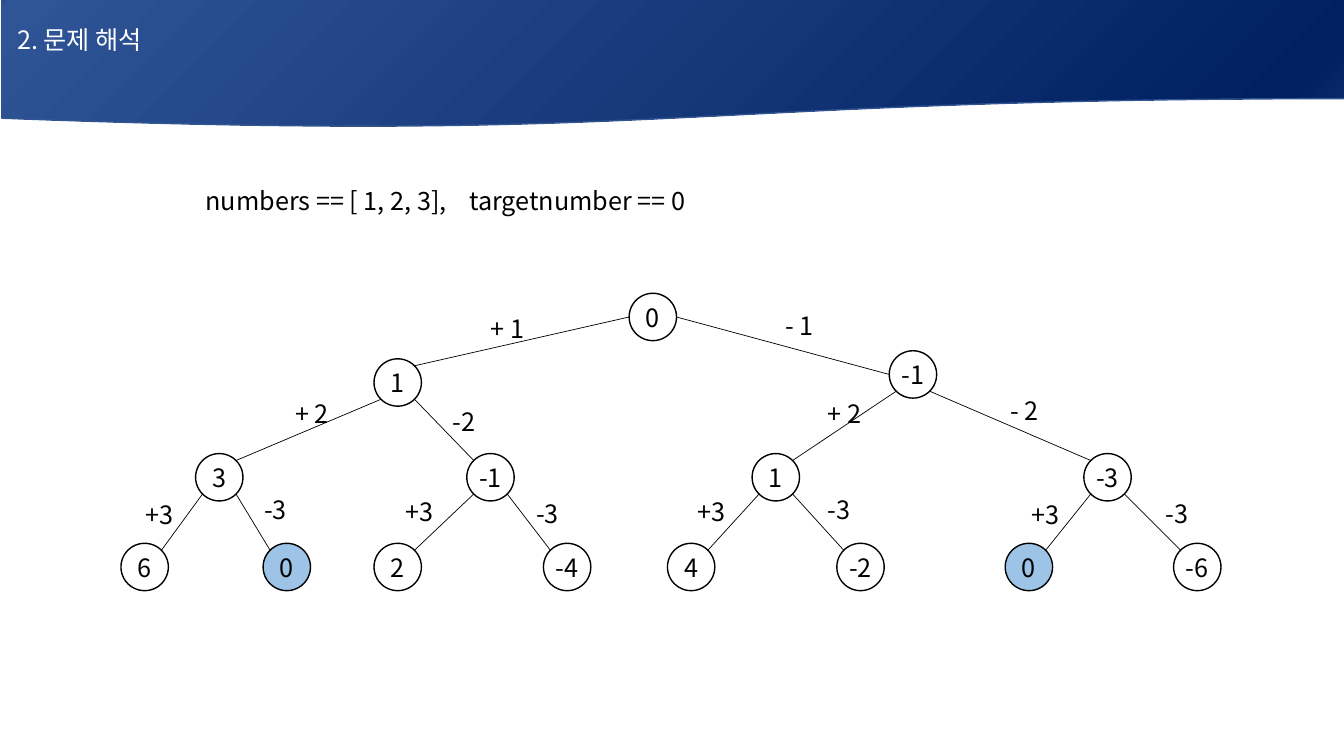
from math import sqrt

from lxml.etree import SubElement
from pptx import Presentation
from pptx.dml.color import RGBColor
from pptx.enum.shapes import MSO_CONNECTOR, MSO_SHAPE
from pptx.enum.text import MSO_ANCHOR, PP_ALIGN
from pptx.oxml.ns import qn
from pptx.util import Inches, Pt

FONT = "Noto Sans CJK KR"
BLACK = RGBColor(0x00, 0x00, 0x00)
WHITE = RGBColor(0xFF, 0xFF, 0xFF)
TARGET_BLUE = RGBColor(0x9D, 0xC3, 0xE6)
BANNER_LINE = RGBColor(0x32, 0x54, 0x91)
BANNER_STOPS = [(0, "203864"), (2, "2F5597"), (94, "002060"), (100, "0D2E6F")]

TITLE = "2. 문제 해석"
PROBLEM = "numbers == [ 1, 2, 3],\u00a0   targetnumber == 0".replace("\u00a0", " ")
DIAMETER = 0.47

# Heap order: the children of node i are nodes 2i + 1 and 2i + 2.
NODES = [  # value, left, top
    ("0", 6.24, 2.91),
    ("1", 3.71, 3.56), ("-1", 8.82, 3.48),
    ("3", 1.94, 4.5), ("-1", 4.63, 4.5), ("1", 7.46, 4.5), ("-3", 10.75, 4.5),
    ("6", 1.2, 5.39), ("0", 2.61, 5.39), ("2", 3.71, 5.39), ("-4", 5.39, 5.39),
    ("4", 6.62, 5.39), ("-2", 8.3, 5.39), ("0", 9.97, 5.39), ("-6", 11.64, 5.39),
]
TARGETS = {8, 13}
STEPS = [  # label, left, top of the edge into nodes 1, 2, 3, ...
    ("+ 1", 4.77, 3.06), ("- 1", 7.69, 3.03),
    ("+ 2", 2.83, 3.9), ("-2", 4.39, 3.98), ("+ 2", 8.11, 3.9), ("- 2", 9.92, 3.87),
    ("+3", 1.34, 4.9), ("-3", 2.52, 4.86), ("+3", 3.92, 4.87), ("-3", 5.22, 4.89),
    ("+3", 6.82, 4.87), ("-3", 8.11, 4.85), ("+3", 10.13, 4.9), ("-3", 11.46, 4.89),
]


def write(shape, text, color=BLACK, align=PP_ALIGN.LEFT, **frame_format):
    tf = shape.text_frame
    for name, value in {"word_wrap": True, **frame_format}.items():
        setattr(tf, name, value)
    p = tf.paragraphs[0]
    p.alignment = align
    r = p.add_run()
    r.text = text
    for name, value in {"name": FONT, "size": Pt(18), "bold": False}.items():
        setattr(r.font, name, value)
    r.font.color.rgb = color
    SubElement(r.font._element, qn("a:ea"), typeface=FONT)


def add_text(slide, text, left, top, width):
    box = slide.shapes.add_textbox(*map(Inches, (left, top, width, 0.4)))
    write(box, text)


def add_banner(slide):
    sp = slide.shapes.add_shape(MSO_SHAPE.FLOWCHART_DOCUMENT,
                                *map(Inches, (0.02, -0.2, 13.33, 1.47)))
    sp.shadow.inherit = False
    sp.line.color.rgb = BANNER_LINE
    sp.line.width = Pt(1)
    sp.fill.gradient()
    grad = sp._element.spPr.find(qn("a:gradFill"))
    stops = grad.find(qn("a:gsLst"))
    for stop in list(stops):
        stops.remove(stop)
    for percent, color in BANNER_STOPS:
        stop = SubElement(stops, qn("a:gs"), pos=str(percent * 1000))
        SubElement(stop, qn("a:srgbClr"), val=color)
    grad.find(qn("a:lin")).set("ang", str(45 * 60000))


def add_node(slide, value, left, top, fill):
    sp = slide.shapes.add_shape(MSO_SHAPE.OVAL,
                                *map(Inches, (left, top, DIAMETER, DIAMETER)))
    sp.shadow.inherit = False
    sp.fill.solid()
    sp.fill.fore_color.rgb = fill
    sp.line.color.rgb = BLACK
    sp.line.width = Pt(1)
    write(sp, value, align=PP_ALIGN.CENTER, vertical_anchor=MSO_ANCHOR.MIDDLE,
          word_wrap=False, margin_left=0, margin_right=0, margin_top=0, margin_bottom=0)


def rim(node, dx, dy):
    """Point on the circle of a node in the direction (dx, dy)."""
    _, left, top = node
    radius = DIAMETER / 2
    length = sqrt(dx * dx + dy * dy)
    return (Inches(left + radius + radius * dx / length),
            Inches(top + radius + radius * dy / length))


def add_edge(slide, child):
    parent = (child - 1) // 2
    side = -1 if child % 2 else 1
    start = rim(NODES[parent], side, 0 if parent == 0 else 1)
    end = rim(NODES[child], -side, 0 if child == 2 else -1)
    line = slide.shapes.add_connector(MSO_CONNECTOR.STRAIGHT, *start, *end)
    line.line.color.rgb = BLACK
    line.line.width = Pt(0.5)
    SubElement(line._element.spPr, qn("a:effectLst"))


def main():
    prs = Presentation()
    prs.slide_width, prs.slide_height = Inches(13.33), Inches(7.5)
    slide = prs.slides.add_slide(prs.slide_layouts[5])

    add_banner(slide)
    title = slide.shapes.title
    title.left, title.top, title.width, title.height = map(Inches, (0.07, 0, 12.4, 0.78))
    write(title, TITLE, WHITE, vertical_anchor=MSO_ANCHOR.MIDDLE)
    slide.shapes._spTree.append(title._element)  # in front of the banner

    add_text(slide, PROBLEM, 1.94, 1.79, 7.72)
    for i, node in enumerate(NODES):
        add_node(slide, *node, TARGET_BLUE if i in TARGETS else WHITE)
    for child, step in enumerate(STEPS, start=1):
        add_edge(slide, child)
        add_text(slide, *step, 0.59)
    prs.save("out.pptx")


if __name__ == "__main__":
    main()
